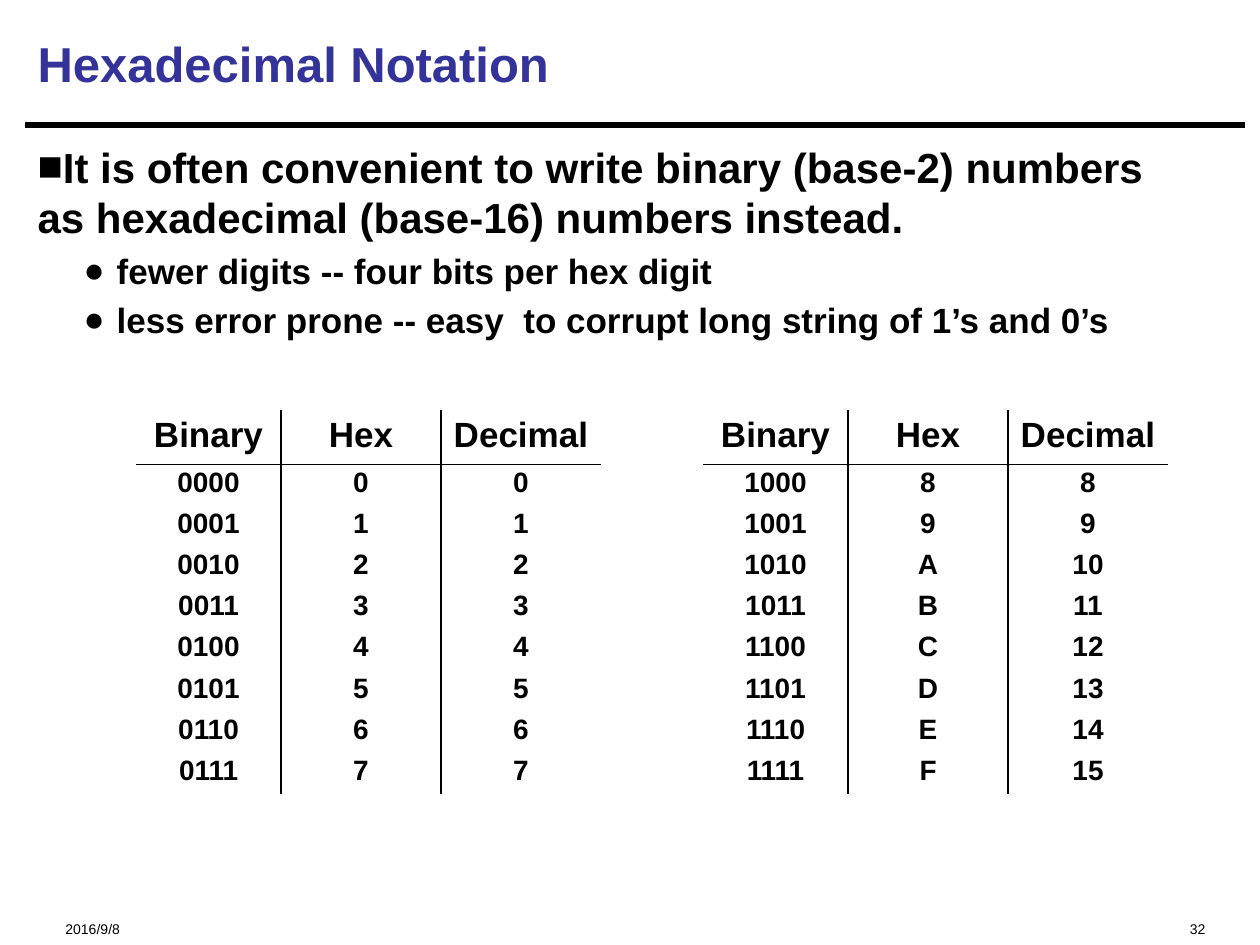
from lxml.etree import SubElement
from pptx import Presentation
from pptx.dml.color import RGBColor
from pptx.enum.shapes import MSO_CONNECTOR
from pptx.enum.text import MSO_ANCHOR, MSO_AUTO_SIZE, PP_ALIGN
from pptx.oxml import parse_xml
from pptx.oxml.ns import nsdecls, qn
from pptx.util import Pt

EMU_PER_PX = 914400 / 126
BLACK = RGBColor(0x00, 0x00, 0x00)
INDIGO = RGBColor(0x33, 0x33, 0x99)
FONT = "Arial"
HEADINGS = ("Binary", "Hex", "Decimal")


def px(length):
    return round(length * EMU_PER_PX)


def place(shape, left, top, width, height):
    shape.left, shape.top = px(left), px(top)
    shape.width, shape.height = px(width), px(height)


def add_span(para, text, size, color=BLACK, bold=True):
    span = para.add_run()
    span.text = text
    span.font.name = FONT
    span.font.size = Pt(size)
    span.font.bold = bold
    span.font.color.rgb = color


def set_bullet(para, mark, margin, indent):
    properties = para._p.get_or_add_pPr()
    properties.set("marL", str(px(margin)))
    properties.set("indent", str(px(indent)))
    SubElement(properties, qn("a:buFont"), typeface=FONT)
    SubElement(properties, qn("a:buChar"), char=mark)


def fill_title(page, left, top, width, height):
    title = page.shapes.title
    place(title, left, top, width, height)
    frame = title.text_frame
    frame.auto_size = MSO_AUTO_SIZE.NONE
    frame.vertical_anchor = MSO_ANCHOR.MIDDLE
    para = frame.paragraphs[0]
    para.alignment = PP_ALIGN.LEFT
    add_span(para, "Hexadecimal Notation", 28, INDIGO)


def add_rule(page, left, right, top):
    rule = page.shapes.add_connector(
        MSO_CONNECTOR.STRAIGHT, px(left), px(top), px(right), px(top))
    rule.line.color.rgb = BLACK
    rule.line.width = Pt(3.75)
    SubElement(rule._element.spPr, qn("a:effectLst"))


def fill_body(page, left, top, width, height):
    body = page.placeholders[1]
    place(body, left, top, width, height)
    frame = body.text_frame
    frame.auto_size = MSO_AUTO_SIZE.NONE
    para = frame.paragraphs[0]
    set_bullet(para, "■", 0, 0)
    para.space_before = Pt(0)
    add_span(para, "It is often convenient to write binary (base-2) numbers", 24)
    para.add_line_break()
    add_span(para, "as hexadecimal (base-16) numbers instead.", 24)
    for text in ("fewer digits -- four bits per hex digit",
                 "less error prone -- easy  to corrupt long string of 1’s and 0’s"):
        para = frame.add_paragraph()
        para.level = 1
        set_bullet(para, "●", 79, -33)
        add_span(para, text, 20)


def set_borders(cell, visible_sides):
    properties = cell._tc.get_or_add_tcPr()
    for position, side in enumerate("LRTB"):
        paint = "<a:noFill/>"
        if side in visible_sides:
            paint = f'<a:solidFill><a:srgbClr val="{BLACK}"/></a:solidFill>'
        border = parse_xml(
            f'<a:ln{side} {nsdecls("a")} w="{Pt(1)}">{paint}</a:ln{side}>')
        properties.insert(position, border)


def visible_sides(row, column):
    sides = ""
    if column > 0:
        sides += "L"
    if column < len(HEADINGS) - 1:
        sides += "R"
    if row == 0:
        sides += "B"
    if row == 1:
        sides += "T"
    return sides


def add_number_table(page, left, top, numbers):
    rows = [HEADINGS] + [(f"{n:04b}", f"{n:X}", str(n)) for n in numbers]
    widths = (145, 160, 160)
    heights = [px(54)] + [px(330) // len(numbers)] * len(numbers)
    table = page.shapes.add_table(
        len(rows), len(widths), px(left), px(top),
        px(sum(widths)), sum(heights)).table
    table.first_row = False
    table.horz_banding = False
    for column, width in zip(table.columns, widths):
        column.width = px(width)
    for row, height in zip(table.rows, heights):
        row.height = height
    for row, texts in enumerate(rows):
        for column, text in enumerate(texts):
            cell = table.cell(row, column)
            cell.fill.background()
            set_borders(cell, visible_sides(row, column))
            para = cell.text_frame.paragraphs[0]
            para.alignment = PP_ALIGN.CENTER
            if row > 0:
                para.line_spacing = 0.85
            add_span(para, text, 16 if row else 20)


def add_footer(page, left, top, width, height, text, alignment):
    box = page.shapes.add_textbox(px(left), px(top), px(width), px(height))
    frame = box.text_frame
    frame.word_wrap = True
    frame.margin_top = px(23)
    frame.margin_bottom = 0
    para = frame.paragraphs[0]
    para.alignment = alignment
    add_span(para, text, 8, bold=False)


def build_page(deck):
    page = deck.slides.add_slide(deck.slide_layouts[1])
    add_rule(page, 25, 1245, 125)
    add_footer(page, 53, 901, 315, 34, "2016/9/8", PP_ALIGN.LEFT)
    add_footer(page, 840, 901, 378, 34, "32", PP_ALIGN.RIGHT)
    fill_title(page, 25, 10, 1218, 106)
    fill_body(page, 25, 135, 1218, 755)
    add_number_table(page, 136, 410, range(8))
    add_number_table(page, 703, 410, range(8, 16))


def main():
    deck = Presentation()
    deck.slide_width, deck.slide_height = px(1260), px(945)
    build_page(deck)
    deck.save("out.pptx")


if __name__ == "__main__":
    main()
